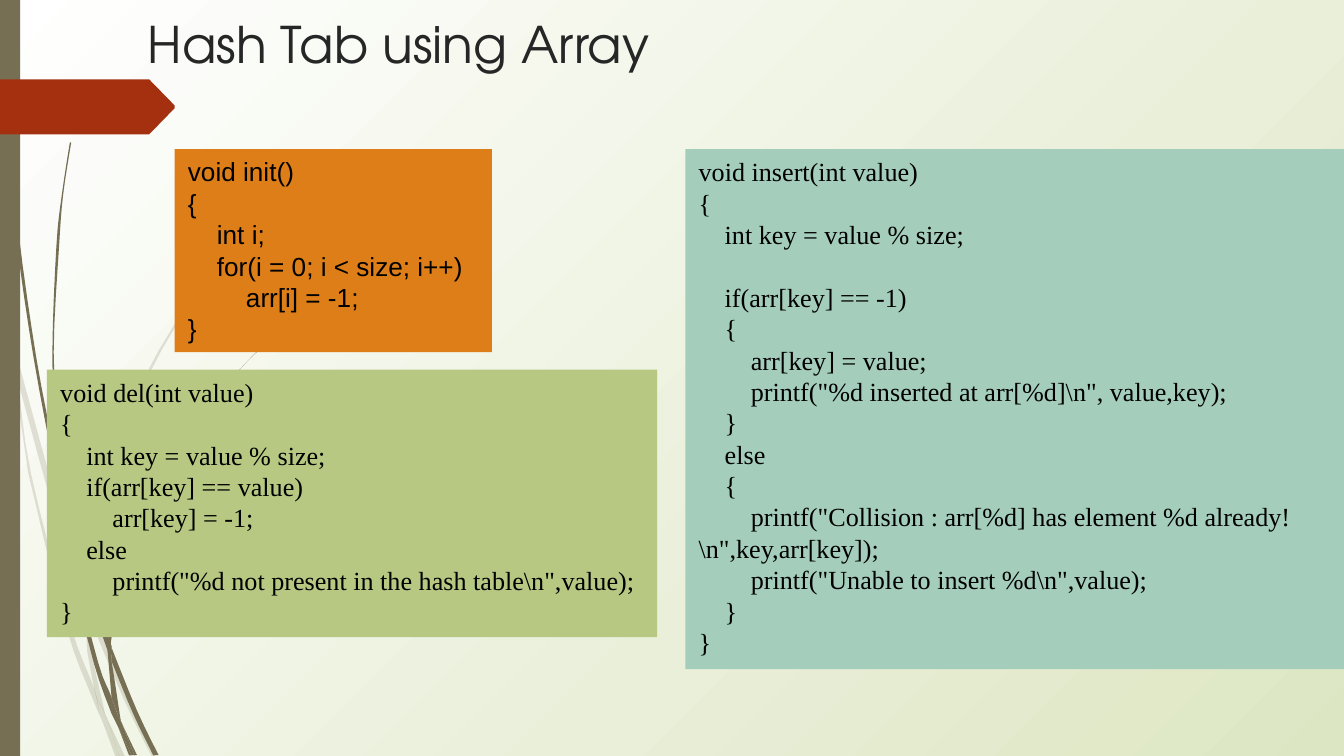
import lxml.etree
import pptx
import pptx.dml.color
import pptx.enum.shapes
import pptx.enum.text
import pptx.oxml
import pptx.oxml.ns
import pptx.util

Inches = pptx.util.Inches
SLIDE_WIDTH = 10
SLIDE_HEIGHT = SLIDE_WIDTH * 9 / 16
OLIVE = "766F54"

# Each strand has two edges, both running from its first tip to its last.
PALE_STRANDS = [
    ([(0, 2.11), (0.06, 2.41), (0.08, 2.63)], [(0, 2.24), (0.08, 2.58)]),
    ([(0.11, 2.59), (0.47, 3.9), (0.64, 4.4)], [(0.13, 2.82), (0.43, 3.91), (0.63, 4.49)]),
    ([(0.66, 4.47), (0.69, 4.55), (0.95, 5.19), (1.16, 5.63)],
     [(0.66, 4.58), (0.92, 5.2), (1.13, 5.63)]),
    ([(0.79, 5.33), (0.93, 5.63)], [(0.89, 5.63)]),
    ([(0.08, 2.63), (0.13, 2.82), (0.23, 3.52), (0.52, 4.64), (0.7, 5.12), (0.74, 5.3)],
     [(0.21, 3.52), (0.49, 4.66), (0.69, 5.2), (0.76, 5.36)]),
    ([(0.63, 4.49), (0.66, 4.56), (0.68, 4.84), (0.78, 5.3), (0.79, 5.33)],
     [(0.65, 4.85), (0.7, 5.12), (0.72, 5.19)]),
    ([(2.34, 1.15), (2.01, 1.48), (1.71, 1.84), (1.2, 2.61), (0.83, 3.47), (0.66, 4.38), (0.66, 4.47)],
     [(2.34, 1.15), (2.01, 1.48), (1.71, 1.83), (1.18, 2.61), (0.81, 3.46), (0.64, 4.38)]),
    ([(0.76, 5.36), (0.89, 5.63)], [(0.86, 5.63)]),
    ([(0.7, 5.12), (0.72, 5.19), (0.79, 5.33), (0.89, 5.63)], [(0.74, 5.3), (0.76, 5.36)]),
]
DARK_STRANDS = [
    ([(0.03, 0), (0.03, 0.36), (0.06, 0.82), (0.14, 1.74), (0.27, 2.66), (0.41, 3.4), (0.43, 3.61)],
     [(0.02, 0), (0.03, 0.36), (0.05, 0.82), (0.12, 1.75), (0.25, 2.66), (0.42, 3.57)]),
    ([(0.45, 3.54), (0.7, 4.43), (0.8, 4.73), (0.8, 4.84)], [(0.48, 3.79), (0.66, 4.44)]),
    ([(0.83, 4.81), (0.85, 4.87), (1.02, 5.29), (1.18, 5.62)],
     [(0.83, 4.92), (0.99, 5.31), (1.14, 5.62)]),
    ([(0.43, 3.58), (0.48, 3.79), (0.54, 4.17), (0.73, 4.93), (0.83, 5.19), (0.88, 5.41)],
     [(0.51, 4.18), (0.7, 4.94), (0.83, 5.31)]),
    ([(0.53, 1.06), (0.47, 1.45), (0.44, 1.83), (0.4, 2.62), (0.44, 3.4), (0.45, 3.54)],
     [(0.52, 1.06), (0.46, 1.45), (0.42, 1.83), (0.39, 2.62), (0.41, 3.37)]),
    ([(0.91, 5.39), (1.02, 5.62)], [(1, 5.62)]),
    ([(1.96, 2.58), (1.84, 2.69), (1.53, 3.05), (1.19, 3.57), (0.94, 4.14), (0.83, 4.75), (0.83, 4.81)],
     [(1.95, 2.58), (1.84, 2.69), (1.53, 3.04), (1.17, 3.56), (0.92, 4.13), (0.8, 4.73)]),
    ([(0.88, 5.41), (0.98, 5.62)], [(0.96, 5.62)]),
    ([(0.8, 4.84), (0.83, 4.92), (0.9, 5.37), (0.91, 5.39)], [(0.83, 5.19), (0.87, 5.3)]),
    ([(0.8, 4.73), (0.83, 4.81), (0.83, 4.92)], [(0.8, 4.84)]),
    ([(0.83, 5.19), (0.87, 5.3), (0.91, 5.39), (1, 5.62)],
     [(0.87, 5.38), (0.88, 5.41), (0.98, 5.62)]),
]

INIT_CODE = r"""void init()
{
    int i;
    for(i = 0; i < size; i++)
        arr[i] = -1;
}"""
INSERT_CODE = r"""void insert(int value)
{
    int key = value % size;
    
    if(arr[key] == -1)
    {
        arr[key] = value;
        printf("%d inserted at arr[%d]\n", value,key);
    }
    else
    {
        printf("Collision : arr[%d] has element %d already!\n",key,arr[key]);
        printf("Unable to insert %d\n",value);
    }
}"""
DELETE_CODE = r"""void del(int value)
{
    int key = value % size;
    if(arr[key] == value)
        arr[key] = -1;
    else
        printf("%d not present in the hash table\n",value);
}"""


def rgb(value):
    return pptx.dml.color.RGBColor.from_string(value)


def paint(shape, color, opacity=100):
    shape.shadow.inherit = False
    shape.fill.solid()
    shape.fill.fore_color.rgb = rgb(color)
    shape.line.fill.background()
    if opacity < 100:
        fill_color = shape._element.spPr.find(".//" + pptx.oxml.ns.qn("a:srgbClr"))
        alpha = lxml.etree.SubElement(fill_color, pptx.oxml.ns.qn("a:alpha"))
        alpha.set("val", str(opacity * 1000))


def smooth(points, steps=4):
    """Return points along a Catmull-Rom curve through the given points."""
    padded = [points[0], *points, points[-1]]
    curve = [points[0]]
    for a, b, c, d in zip(padded, padded[1:], padded[2:], padded[3:]):
        for step in range(1, steps + 1):
            t = step / steps
            curve.append(tuple(
                q + t / 2 * (r - p + t * (2 * p - 5 * q + 4 * r - s + t * (3 * (q - r) + s - p)))
                for p, q, r, s in zip(a, b, c, d)))
    return curve


def add_outline(shapes, points, color, opacity=100):
    corners = [(Inches(x), Inches(y)) for x, y in points]
    builder = shapes.build_freeform(*corners[0])
    builder.add_line_segments(corners[1:], close=True)
    paint(builder.convert_to_shape(), color, opacity)


def add_rectangle(slide, left, top, width, height, color):
    shape = slide.shapes.add_shape(
        pptx.enum.shapes.MSO_SHAPE.RECTANGLE,
        Inches(left), Inches(top), Inches(width), Inches(height))
    paint(shape, color)
    return shape


def set_background(slide):
    fill = slide.background.fill
    fill.gradient()
    for stop, position, color in zip(fill.gradient_stops, (0, 1), ("FFFFFF", "DDE6C3")):
        stop.position = position
        stop.color.rgb = rgb(color)
    linear = slide._element.find(".//" + pptx.oxml.ns.qn("a:lin"))
    radial = pptx.oxml.parse_xml(
        f'<a:path {pptx.oxml.ns.nsdecls("a")} path="circle">'
        '<a:fillToRect r="100000" b="100000"/></a:path>')
    linear.getparent().replace(linear, radial)


def add_strands(slide, strands, opacity):
    group = slide.shapes.add_group_shape()
    for right_edge, left_edge in strands:
        outline = smooth(right_edge) + smooth(left_edge)[::-1]
        add_outline(group.shapes, outline, OLIVE, opacity)


def add_arrow_tag(slide, left, top, width, height):
    right, bottom, middle = left + width, top + height, top + height / 2
    shoulder = right - 0.19
    add_outline(slide.shapes, [
        (left, top), (shoulder, top), (right, middle - 0.01), (right, middle + 0.01),
        (shoulder, bottom), (left, bottom)], "A53010")


def format_text(text_frame, font_name, size, color):
    for paragraph in text_frame.paragraphs:
        paragraph.alignment = pptx.enum.text.PP_ALIGN.LEFT
        for run in paragraph.runs:
            run.font.name = font_name
            run.font.size = pptx.util.Pt(size)
            run.font.color.rgb = rgb(color)


def set_title(slide, left, top, width, height, text):
    title = slide.shapes.title
    title.left, title.top, title.width, title.height = map(Inches, (left, top, width, height))
    frame = title.text_frame
    frame.text = text
    frame.vertical_anchor = pptx.enum.text.MSO_ANCHOR.TOP
    frame.auto_size = pptx.enum.text.MSO_AUTO_SIZE.NONE
    frame.margin_left = frame.margin_right = Inches(0.07)
    frame.margin_top = frame.margin_bottom = Inches(0.04)
    format_text(frame, "TeX Gyre Adventor", 27, "262626")


def add_code_panel(slide, left, top, width, height, color, code, font_name="Times New Roman"):
    frame = add_rectangle(slide, left, top, width, height, color).text_frame
    frame.text = code
    frame.word_wrap = True
    frame.vertical_anchor = pptx.enum.text.MSO_ANCHOR.TOP
    frame.auto_size = pptx.enum.text.MSO_AUTO_SIZE.SHAPE_TO_FIT_TEXT
    format_text(frame, font_name, 14, "000000")


def main():
    presentation = pptx.Presentation()
    presentation.slide_width = Inches(SLIDE_WIDTH)
    presentation.slide_height = Inches(SLIDE_HEIGHT)
    slide = presentation.slides.add_slide(presentation.slide_layouts.get_by_name("Title Only"))
    set_background(slide)
    add_strands(slide, PALE_STRANDS, 20)
    add_strands(slide, DARK_STRANDS, 100)
    add_rectangle(slide, 0, 0, 0.15, SLIDE_HEIGHT, OLIVE)
    add_arrow_tag(slide, 0, 0.59, 1.3, 0.41)
    set_title(slide, 1.03, 0.06, 7.31, 1.05, "Hash Tab using Array")
    add_code_panel(slide, 1.3, 1.11, 2.36, 1.51, "DE7E18", INIT_CODE, "Arial")
    add_code_panel(slide, 5.1, 1.11, 5, 3.87, "A4CDBC", INSERT_CODE)
    add_code_panel(slide, 0.35, 2.75, 4.54, 1.99, "B6C882", DELETE_CODE)
    presentation.save("out.pptx")


if __name__ == "__main__":
    main()
